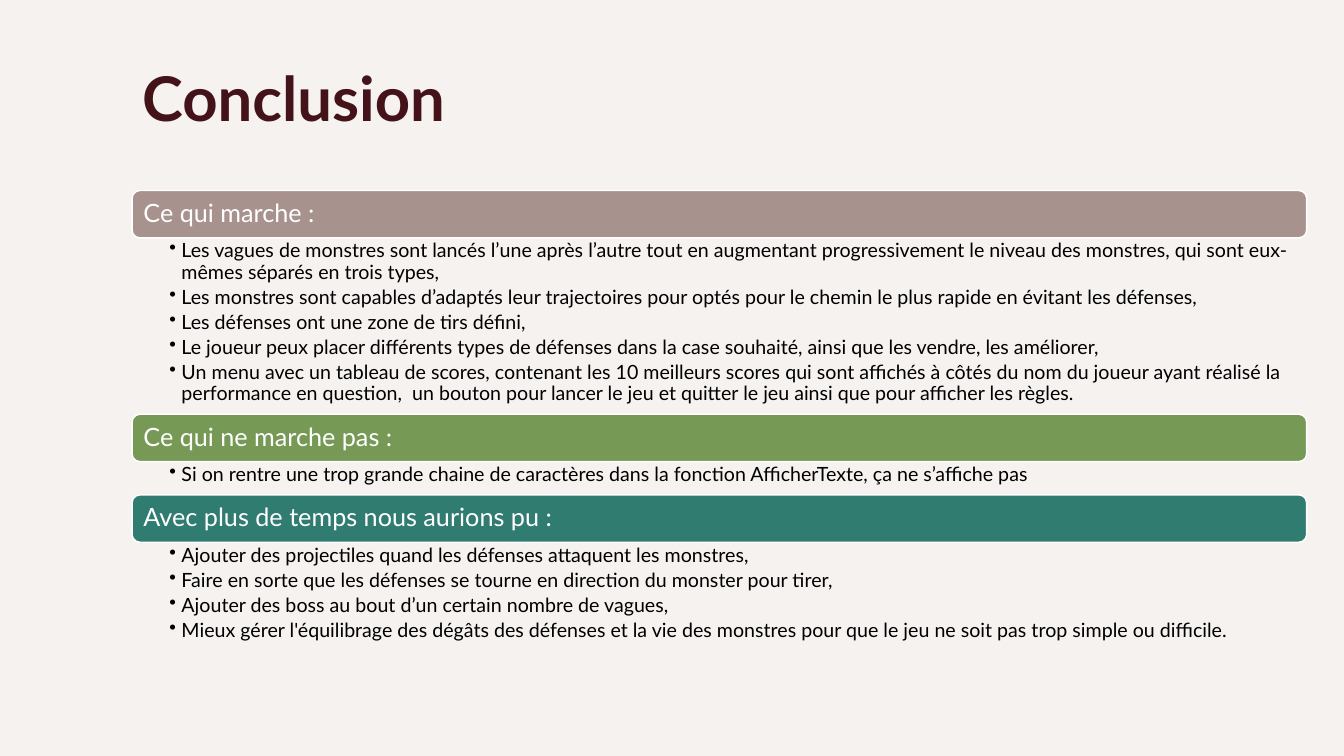
from lxml import etree
from pptx import Presentation
from pptx.dml.color import RGBColor
from pptx.enum.shapes import MSO_SHAPE as Shape
from pptx.enum.text import MSO_ANCHOR as Anchor, PP_ALIGN as Align
from pptx.oxml.ns import qn
from pptx.util import Inches, Pt

TITLE = "Conclusion"
# heading, bar colour, height of the list, points
PARTS = [
    ("Ce qui marche :", "taupe", 1.75, [
        "Les vagues de monstres sont lancés l’une après l’autre tout en augmentant progressivement le niveau des monstres, qui sont eux-mêmes séparés en trois types,",
        "Les monstres sont capables d’adaptés leur trajectoires pour optés pour le chemin le plus rapide en évitant les défenses,",
        "Les défenses ont une zone de tirs défini,",
        "Le joueur peux placer différents types de défenses dans la case souhaité, ainsi que les vendre, les améliorer,",
        "Un menu avec un tableau de scores, contenant les 10 meilleurs scores qui sont affichés à côtés du nom du joueur ayant réalisé la performance en question,  un bouton pour lancer le jeu et quitter le jeu ainsi que pour afficher les règles.",
    ]),
    ("Ce qui ne marche pas :", "green", 0.33, [
        "Si on rentre une trop grande chaine de caractères dans la fonction AfficherTexte, ça ne s’affiche pas",
    ]),
    ("Avec plus de temps nous aurions pu :", "teal", 1.06, [
        "Ajouter des projectiles quand les défenses attaquent les monstres,",
        "Faire en sorte que les défenses se tourne en direction du monster pour tirer,",
        "Ajouter des boss au bout d’un certain nombre de vagues,",
        "Mieux gérer l'équilibrage des dégâts des défenses et la vie des monstres pour que le jeu ne soit pas trop simple ou difficile.",
    ]),
]
COLORS = {"back": "F6F2F0", "title": "44131A", "white": "FFFFFF", "black": "000000",
          "taupe": "A7928D", "green": "769A56", "teal": "307C71"}
FONT = "Lato"
LEFT, TOP, WIDTH, BAR = 1.31, 1.89, 11.65, 0.47
INDENT = Inches(0.12)


def color(name):
    return RGBColor.from_string(COLORS[name])


def write(shape, lines, size, ink, bold=False, anchor=Anchor.TOP,
          pad=(0.1, 0.05, 0.1, 0.05), space=0.9, after=0, bullet=False):
    frame = shape.text_frame
    frame.word_wrap = True
    frame.vertical_anchor = anchor
    (frame.margin_left, frame.margin_top,
     frame.margin_right, frame.margin_bottom) = map(Inches, pad)
    for i, line in enumerate(lines):
        para = frame.add_paragraph() if i else frame.paragraphs[0]
        para.alignment = Align.LEFT
        para.line_spacing = space
        para.space_before = Pt(0)
        para.space_after = Pt(size * after)
        run = para.add_run()
        run.text = line
        font = run.font
        font.name, font.size, font.bold = FONT, Pt(size), bold
        font.color.rgb = color(ink)
        if bullet:
            para.level = 1
            props = para._p.get_or_add_pPr()
            props.set("marL", str(INDENT))
            props.set("indent", str(-INDENT))
            etree.SubElement(props, qn("a:buChar")).set("char", "•")


def main():
    deck = Presentation()
    deck.slide_width, deck.slide_height = Inches(13.33), Inches(7.5)
    slide = deck.slides.add_slide(deck.slide_layouts[5])
    fill = slide.background.fill
    fill.solid()
    fill.fore_color.rgb = color("back")

    title = slide.shapes.title
    title.left, title.top, title.width, title.height = map(
        Inches, (LEFT, 0.54, 11.32, 1.4))
    write(title, [TITLE], 44, "title", bold=True, space=1)

    top = TOP
    for head, tint, height, points in PARTS:
        bar = slide.shapes.add_shape(
            Shape.ROUNDED_RECTANGLE, *map(Inches, (LEFT, top, WIDTH, BAR)))
        bar.shadow.inherit = False
        bar.fill.solid()
        bar.fill.fore_color.rgb = color(tint)
        bar.line.color.rgb = color("white")
        bar.line.width = Pt(1)
        write(bar, [head], 18, "white", anchor=Anchor.MIDDLE,
              pad=(0.09, 0.07, 0.09, 0.07), after=0.35)
        top += BAR
        box = slide.shapes.add_textbox(*map(Inches, (LEFT, top, WIDTH, height)))
        write(box, points, 14, "black", pad=(0.37, 0.03, 0.14, 0.03),
              after=0.2, bullet=True)
        top += height

    deck.save("out.pptx")


if __name__ == "__main__":
    main()
